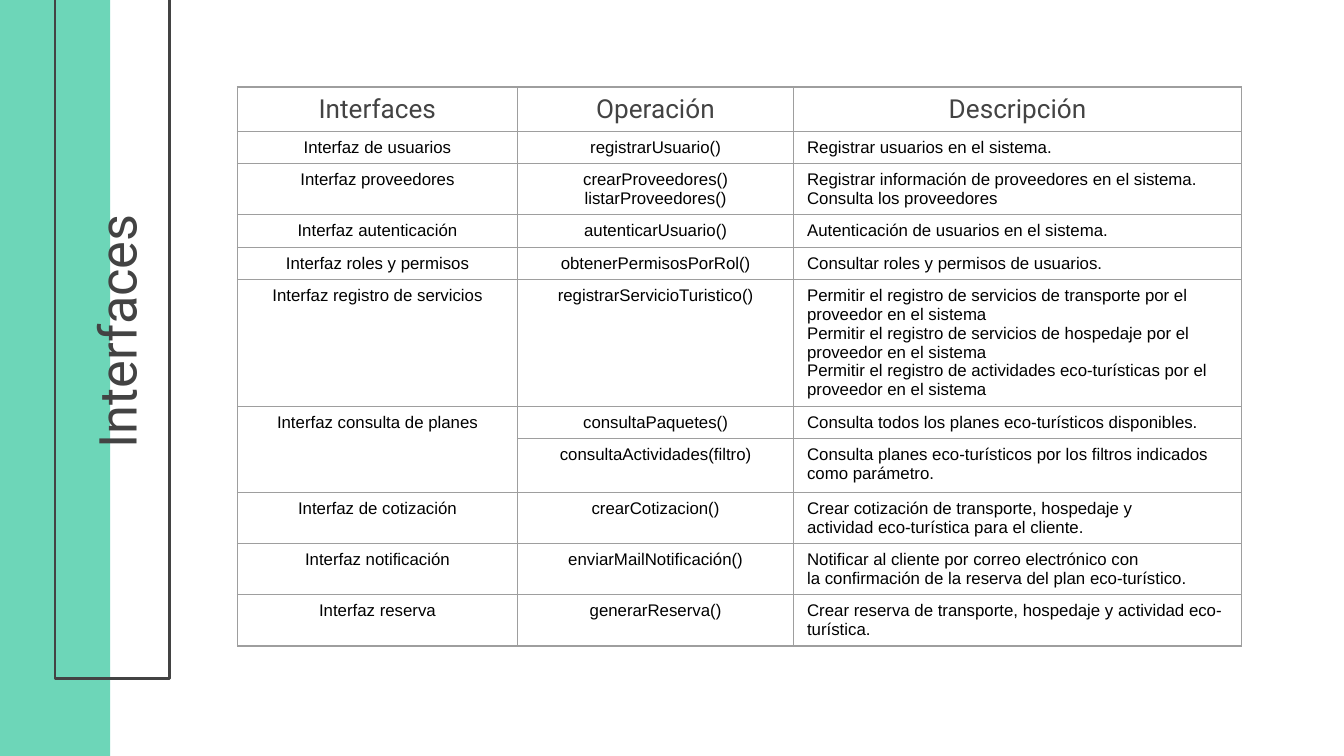
from lxml.etree import SubElement
from pptx import Presentation
from pptx.dml.color import RGBColor
from pptx.enum.shapes import MSO_SHAPE
from pptx.enum.text import MSO_ANCHOR, PP_ALIGN
from pptx.oxml.ns import qn
from pptx.util import Pt

COLORS = {"mint": "6DD6B8", "dark": "434343", "black": "000000", "border": "9E9E9E"}
NO_BREAK_SPACE = chr(160)

COLUMN_WIDTHS = [150, 148, 240]
ROW_HEIGHTS = [23.8, 17.3, 27.3, 17.4, 17.3, 67.8, 17.3, 28.9, 27.3, 27.3, 27.5]
HEADER = ["Interfaces", "Operación", "Descripción"]
ROWS = [
    ["Interfaz de usuarios", "registrarUsuario()", "Registrar usuarios en el sistema."],
    ["Interfaz proveedores", "crearProveedores()\nlistarProveedores()",
     "Registrar información de proveedores en el sistema.\nConsulta los proveedores"],
    ["Interfaz autenticación", "autenticarUsuario()", "Autenticación de usuarios en el sistema."],
    ["Interfaz roles y permisos", "obtenerPermisosPorRol()", "Consultar roles y permisos de usuarios."],
    ["Interfaz registro de servicios", "registrarServicioTuristico()",
     "Permitir el registro de servicios de transporte por el proveedor en el sistema\n"
     "Permitir el registro de servicios de hospedaje por el proveedor en el sistema\n"
     "Permitir el registro de actividades eco-turísticas por el proveedor en el sistema"],
    ["Interfaz consulta de planes", "consultaPaquetes()",
     "Consulta todos los planes eco-turísticos disponibles."],
    ["", "consultaActividades(filtro)",
     "Consulta planes eco-turísticos por los filtros indicados como~parámetro."],
    ["Interfaz de cotización", "crearCotizacion()",
     "Crear cotización de transporte, hospedaje y actividad~eco-turística~para el cliente."],
    ["Interfaz notificación", "enviarMailNotificación()",
     "Notificar al cliente por correo electrónico con la~confirmación de la reserva del plan eco-turístico."],
    ["Interfaz reserva", "generarReserva()",
     "Crear reserva de transporte, hospedaje y actividad~eco-turística."],
]


def color(name):
    return RGBColor.from_string(COLORS[name])


def write_text(text_frame, text, size, font, color_name, align):
    text_frame.text = text.replace("~", NO_BREAK_SPACE)
    for paragraph in text_frame.paragraphs:
        paragraph.alignment = align
        paragraph.font.size = Pt(size)
        paragraph.font.name = font
        paragraph.font.color.rgb = color(color_name)


def add_rectangle(slide, left, top, width, height, fill=None, line=None):
    shape = slide.shapes.add_shape(MSO_SHAPE.RECTANGLE, Pt(left), Pt(top), Pt(width), Pt(height))
    shape.shadow.inherit = False
    if fill:
        shape.fill.solid()
        shape.fill.fore_color.rgb = color(fill)
    else:
        shape.fill.background()
    if line:
        shape.line.color.rgb = color(line)
        shape.line.width = Pt(1.5)
    else:
        shape.line.fill.background()


def add_side_band(slide, left, top, width, height):
    add_rectangle(slide, left, top, width, height, fill="mint")
    add_rectangle(slide, left + 31, top - 3.6, width + 0.7, height - 38.2, line="dark")


def place_title(slide, left, top, width, height):
    title = slide.shapes.title
    title.left, title.top, title.width, title.height = Pt(left), Pt(top), Pt(width), Pt(height)
    title.rotation = 270
    frame = title.text_frame
    frame.word_wrap = True
    frame.vertical_anchor = MSO_ANCHOR.BOTTOM
    frame.margin_left = frame.margin_right = frame.margin_top = frame.margin_bottom = Pt(7.2)
    write_text(frame, "Interfaces", size=28, font="Roboto", color_name="dark", align=PP_ALIGN.RIGHT)
    title.element.getparent().append(title.element)


def format_cell(cell):
    properties = cell._tc.get_or_add_tcPr()
    for side in ("lnL", "lnR", "lnT", "lnB"):
        line = SubElement(properties, qn(f"a:{side}"), w=str(Pt(0.75)))
        fill = SubElement(line, qn("a:solidFill"))
        SubElement(fill, qn("a:srgbClr"), val=COLORS["border"])
    cell.fill.background()


def add_interface_table(slide, left, top, width, height):
    rows = [HEADER] + ROWS
    table = slide.shapes.add_table(
        len(rows), len(HEADER), Pt(left), Pt(top), Pt(width), Pt(height)).table
    table.first_row = table.horz_banding = False
    for column, column_width in zip(table.columns, COLUMN_WIDTHS):
        column.width = Pt(column_width)
    for row, row_height in zip(table.rows, ROW_HEIGHTS):
        row.height = Pt(row_height)
    for row_index, texts in enumerate(rows):
        for column_index, text in enumerate(texts):
            cell = table.cell(row_index, column_index)
            format_cell(cell)
            if row_index == 0:
                write_text(cell.text_frame, text, size=14, font="Roboto",
                           color_name="dark", align=PP_ALIGN.CENTER)
            else:
                write_text(cell.text_frame, text, size=9, font="Arial", color_name="black",
                           align=PP_ALIGN.LEFT if column_index == 2 else PP_ALIGN.CENTER)
    table.cell(6, 0).merge(table.cell(7, 0))


def main():
    presentation = Presentation()
    presentation.slide_width, presentation.slide_height = Pt(720), Pt(405)
    slide = presentation.slides.add_slide(presentation.slide_layouts[5])
    add_side_band(slide, -1.5, -2.9, 60.5, 408.2)
    place_title(slide, -92.9, 241.2, 312.5, 45.4)
    add_interface_table(slide, 127.2, 46.6, sum(COLUMN_WIDTHS), sum(ROW_HEIGHTS))
    presentation.save("out.pptx")


if __name__ == "__main__":
    main()
